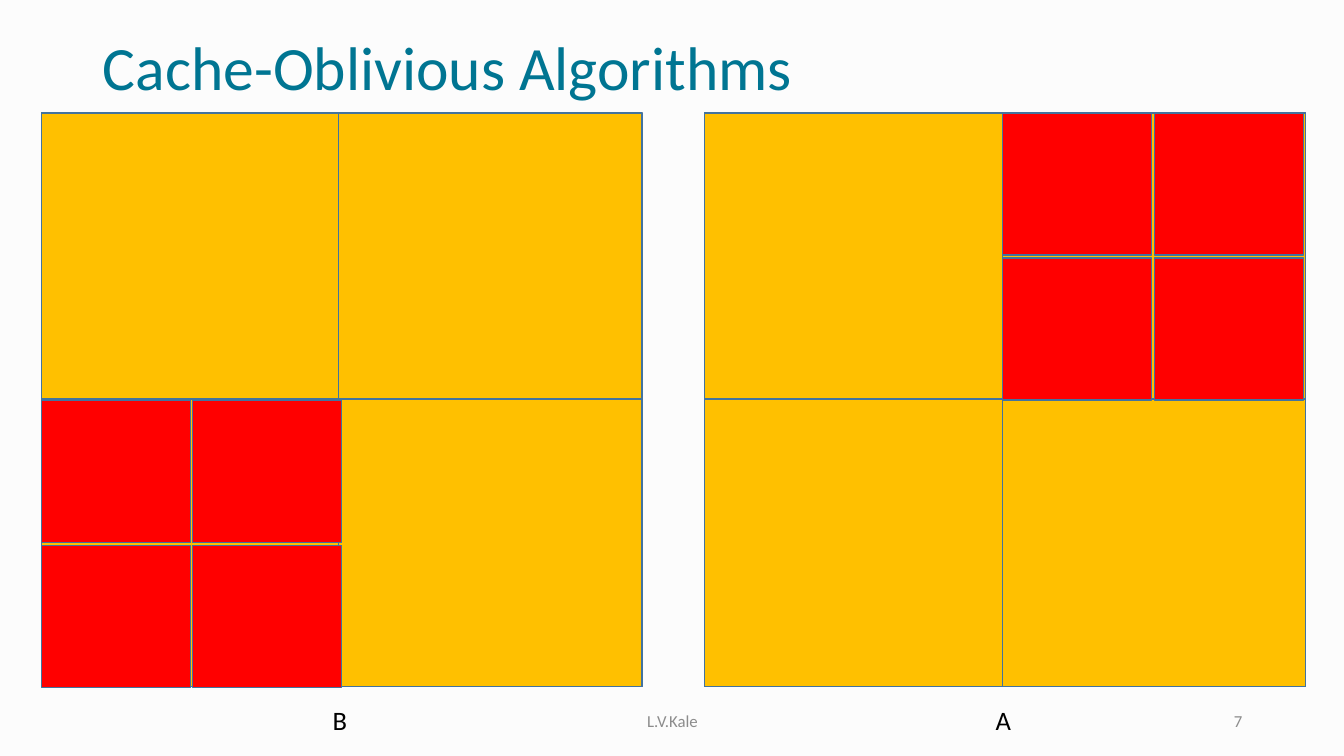
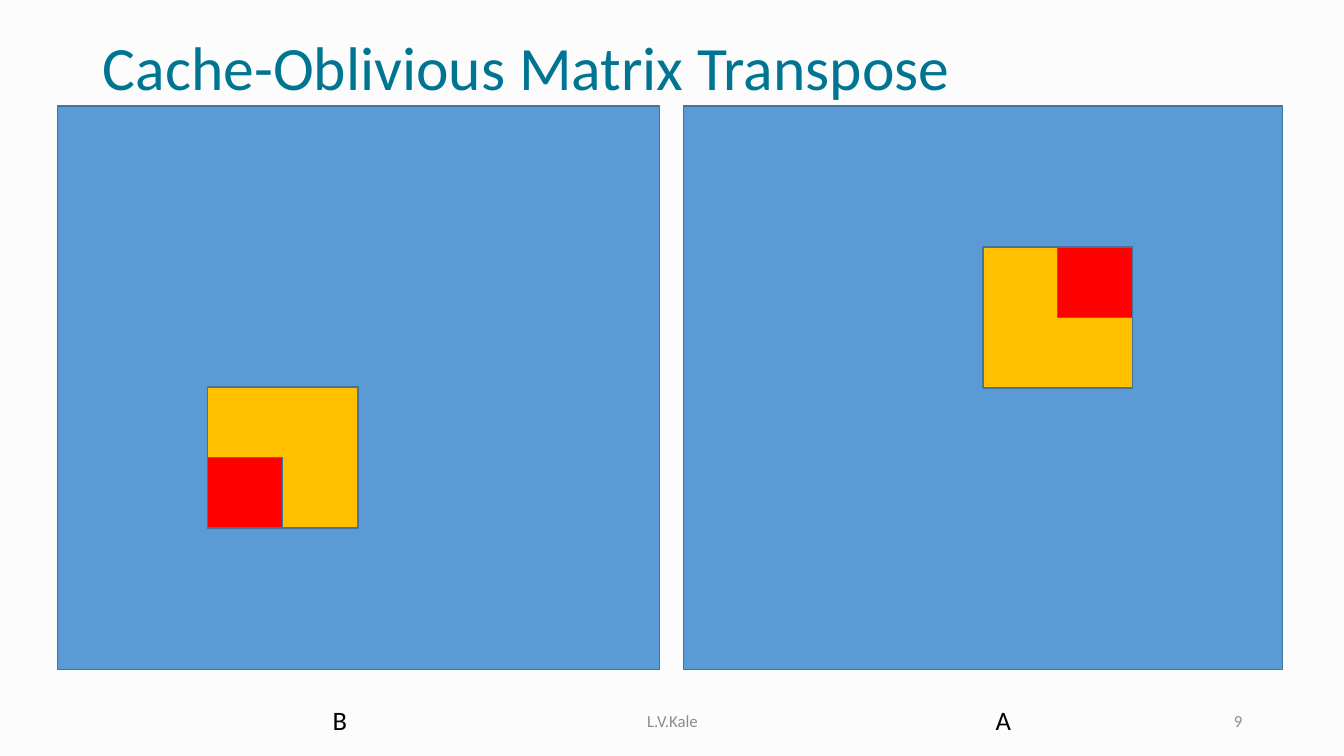
"""Build two slides on cache-oblivious algorithms with blocked matrices."""
import collections
import dataclasses

import pptx
import pptx.dml.color
import pptx.enum.shapes
import pptx.enum.text
import pptx.util

Box = collections.namedtuple("Box", "x y w h")
Align = pptx.enum.text.PP_ALIGN
Anchor = pptx.enum.text.MSO_ANCHOR
PX = 9144
SLIDE = Box(0, 0, 1333, 750)
TITLE = Box(92, 28, 1150, 84)
AUTHOR = Box(442, 695, 450, 40)
NUMBER = Box(942, 695, 300, 40)
LABELS = {"B": Box(306, 693, 62, 42), "A": Box(969, 693, 52, 42)}


@dataclasses.dataclass(frozen=True)
class Theme:
    """Colours, font and type sizes shared by the slides."""
    font: str = "Calibri"
    paper: str = "FCFCFC"
    title: str = "007592"
    footer: str = "8C8C8C"
    label: str = "000000"
    matrix: str = "5B9BD5"
    block: str = "FFC000"
    active: str = "FF0000"
    edge: str = "43739E"
    title_size: int = 44
    label_size: int = 19
    footer_size: int = 12


THEME = Theme()


def rgb(value):
    """Return a colour from its hex digits."""
    return pptx.dml.color.RGBColor.from_string(value)


def emu(box):
    """Return the four lengths of a pixel box in EMU."""
    return [pptx.util.Emu(length * PX) for length in box]


def write(frame, text, *, size, color, align=Align.LEFT, anchor=Anchor.MIDDLE, spacing=1.0):
    """Put one formatted paragraph in a text frame."""
    frame.text = text
    frame.word_wrap = True
    frame.auto_size = pptx.enum.text.MSO_AUTO_SIZE.NONE
    frame.vertical_anchor = anchor
    paragraph = frame.paragraphs[0]
    paragraph.alignment = align
    paragraph.line_spacing = spacing
    paragraph.font.name = THEME.font
    paragraph.font.size = pptx.util.Pt(size)
    paragraph.font.color.rgb = rgb(color)


def add_text(slide, box, text, **style):
    """Add a text box with one formatted paragraph."""
    write(slide.shapes.add_textbox(*emu(box)).text_frame, text, **style)


def add_square(slide, box, color):
    """Add one outlined block of a matrix."""
    square = slide.shapes.add_shape(pptx.enum.shapes.MSO_SHAPE.RECTANGLE, *emu(box))
    square.shadow.inherit = False
    square.fill.solid()
    square.fill.fore_color.rgb = rgb(color)
    square.line.color.rgb = rgb(THEME.edge)
    square.line.width = pptx.util.Pt(1)


def part(box, divisions, column, row):
    """Return one cell of a box split evenly both ways."""
    width, height = box.w / divisions, box.h / divisions
    return Box(round(box.x + column * width), round(box.y + row * height),
               round(width), round(height))


def add_quarters(slide, box, width, height, color):
    """Set four equal blocks into the corners of a box."""
    for row in range(2):
        for column in range(2):
            corner = Box(box.x + column * (box.w - width),
                         box.y + row * (box.h - height), width, height)
            add_square(slide, corner, color)


def add_split_matrix(slide, box, active):
    """Draw a matrix in quadrants, one of them split again."""
    add_square(slide, box, THEME.matrix)
    add_quarters(slide, box, 301, 285, THEME.block)
    add_quarters(slide, active, 148, 141, THEME.active)


def add_nested_matrix(slide, box, block_cell, active_cell):
    """Draw a matrix with one block and the active part of that block."""
    block = part(box, 4, *block_cell)
    add_square(slide, box, THEME.matrix)
    add_square(slide, block, THEME.block)
    add_square(slide, part(block, 2, *active_cell), THEME.active)


def add_frame(prs, title, number):
    """Add a slide with its title, matrix labels and footer."""
    slide = prs.slides.add_slide(prs.slide_layouts.get_by_name("Title Only"))
    heading = slide.shapes.title
    heading.left, heading.top, heading.width, heading.height = emu(TITLE)
    write(heading.text_frame, title, size=THEME.title_size, color=THEME.title, spacing=0.9)
    for name, box in LABELS.items():
        add_text(slide, box, name, size=THEME.label_size, color=THEME.label,
                 align=Align.CENTER, anchor=Anchor.TOP)
    footer = {"size": THEME.footer_size, "color": THEME.footer}
    add_text(slide, AUTHOR, "L.V.Kale", align=Align.CENTER, **footer)
    add_text(slide, NUMBER, number, align=Align.RIGHT, **footer)
    return slide


def add_algorithms_slide(prs):
    """Show opposite quadrants of both matrices split again."""
    slide = add_frame(prs, "Cache-Oblivious Algorithms", "7")
    add_split_matrix(slide, Box(41, 112, 596, 569), Box(41, 397, 298, 285))
    add_split_matrix(slide, Box(699, 112, 596, 569), Box(994, 112, 299, 285))


def add_transpose_slide(prs):
    """Show mirrored blocks of both matrices."""
    slide = add_frame(prs, "Cache-Oblivious Matrix Transpose", "9")
    add_nested_matrix(slide, Box(57, 105, 597, 559), (1, 2), (0, 1))
    add_nested_matrix(slide, Box(678, 105, 594, 559), (2, 1), (1, 0))


def main():
    """Build and save the presentation."""
    prs = pptx.Presentation()
    prs.slide_width, prs.slide_height = emu(SLIDE)[2:]
    paper = prs.slide_master.background.fill
    paper.solid()
    paper.fore_color.rgb = rgb(THEME.paper)
    add_algorithms_slide(prs)
    add_transpose_slide(prs)
    prs.save("out.pptx")


if __name__ == "__main__":
    main()
